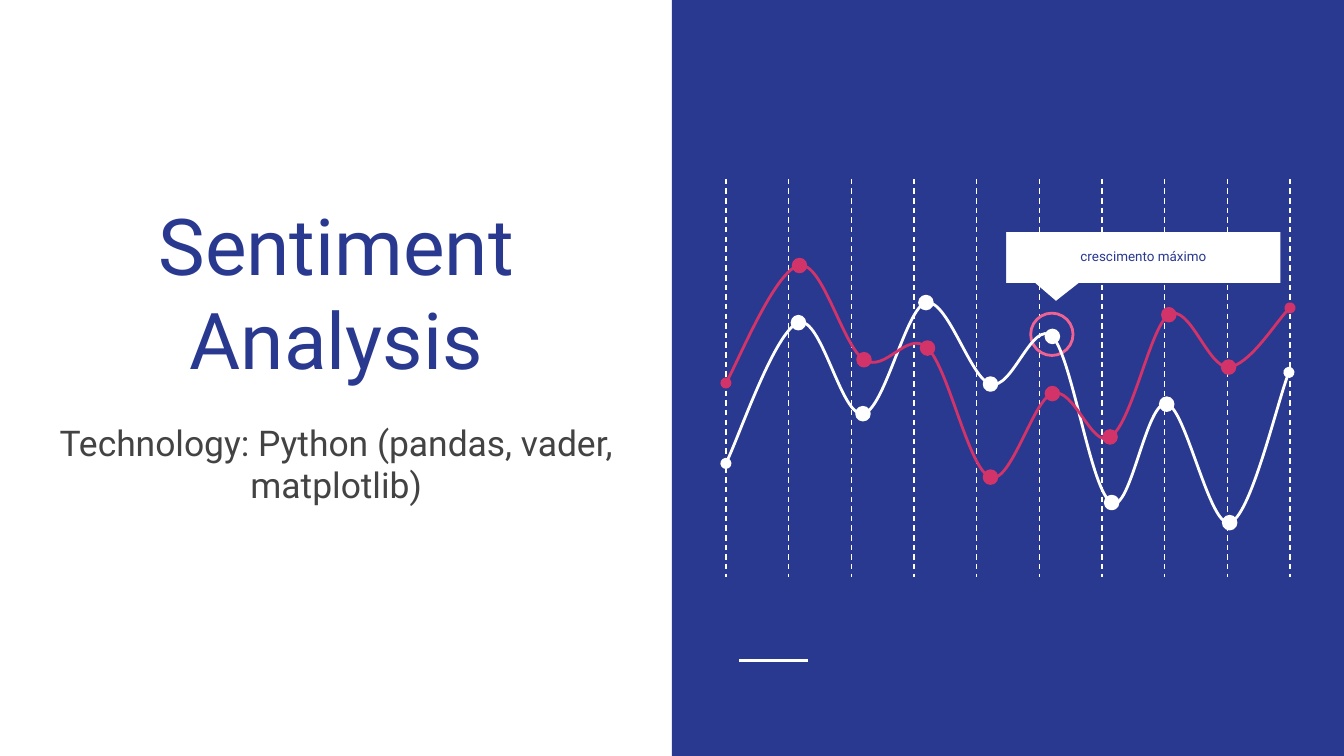
from lxml.etree import SubElement
from pptx import Presentation
from pptx.dml.color import RGBColor
from pptx.enum.dml import MSO_LINE as Dash
from pptx.enum.shapes import MSO_CONNECTOR as Link, MSO_SHAPE as Kind
from pptx.enum.text import MSO_ANCHOR as Anchor, MSO_AUTO_SIZE as Fit, PP_ALIGN as Align
from pptx.oxml.ns import qn
from pptx.util import Cm, Pt

BLUE, WHITE, RED, PINK, GREY = "2A3990", "FFFFFF", "D23369", "F06292", "434343"

WHITE_CURVE = [
    (13.72, 8.76),
    (13.94, 8.33), (14.66, 6.25), (15.09, 6.1),
    (15.52, 5.94), (15.9, 7.9), (16.31, 7.82),
    (16.71, 7.77), (17.12, 5.82), (17.5, 5.72),
    (17.91, 5.64), (18.34, 7.16), (18.72, 7.26),
    (19.13, 7.39), (19.51, 6.02), (19.89, 6.36),
    (20.27, 6.76), (20.62, 9.32), (21.01, 9.5),
    (21.36, 9.73), (21.67, 7.54), (22.05, 7.64),
    (22.4, 7.67), (22.86, 9.98), (23.24, 9.88),
    (23.62, 9.8), (24.16, 7.52), (24.36, 7.04),
]
RED_CURVE = [
    (13.72, 7.24),
    (13.94, 6.86), (14.68, 5.08), (15.11, 5.02),
    (15.54, 4.93), (15.93, 6.55), (16.33, 6.8),
    (16.74, 7.06), (17.15, 6.22), (17.53, 6.58),
    (17.93, 6.96), (18.31, 8.89), (18.72, 9.02),
    (19.1, 9.17), (19.53, 7.54), (19.89, 7.44),
    (20.29, 7.29), (20.65, 8.51), (20.98, 8.26),
    (21.39, 8.03), (21.74, 6.17), (22.09, 5.95),
    (22.48, 5.72), (22.83, 6.96), (23.22, 6.94),
    (23.6, 6.91), (24.18, 5.99), (24.38, 5.82),
]


def tint(code):
    return RGBColor.from_string(code)


class Deck:
    font = "Roboto"
    width = Pt(1.5)
    inset = Cm(0.25)
    dot = 0.24

    def __init__(self, slide):
        self.slide = slide
        self.shapes = slide.shapes

    def stroke(self, item, color):
        item.line.color.rgb = tint(color)
        item.line.width = self.width

    def shape(self, kind, x, y, w, h, fill=None, line=None):
        item = self.shapes.add_shape(kind, Cm(x), Cm(y), Cm(w), Cm(h))
        item.shadow.inherit = False
        if fill:
            item.fill.solid()
            item.fill.fore_color.rgb = tint(fill)
        else:
            item.fill.background()
        if line:
            self.stroke(item, line)
        else:
            item.line.fill.background()
        return item

    def bubble(self, w, tip):
        item = self.shape(Kind.ROUNDED_RECTANGULAR_CALLOUT, 19.02, 4.39, w, 0.96, WHITE)
        for i, value in enumerate((-0.214, tip, 0)):
            item.adjustments[i] = value

    def line(self, x1, y1, x2, y2, color):
        item = self.shapes.add_connector(Link.STRAIGHT, Cm(x1), Cm(y1), Cm(x2), Cm(y2))
        self.stroke(item, color)
        SubElement(item.element.spPr, qn("a:effectLst"))
        return item

    def curve(self, points, color):
        start, *rest = [(Cm(x), Cm(y)) for x, y in points]
        pen = self.shapes.build_freeform(*start)
        pen.add_line_segments(rest, close=False)
        item = pen.convert_to_shape()
        item.shadow.inherit = False
        item.fill.background()
        self.stroke(item, color)
        route = item.element.find(".//" + qn("a:path"))
        steps = route.findall(qn("a:lnTo"))
        for i in range(0, len(steps), 3):
            bend = SubElement(route, qn("a:cubicBezTo"))
            for step in steps[i:i + 3]:
                bend.append(step[0])
                route.remove(step)
        edge = item.element.spPr.find(qn("a:ln"))
        for end in ("a:headEnd", "a:tailEnd"):
            SubElement(edge, qn(end), type="oval")
        for x, y in points[3:-1:3]:
            self.shape(Kind.OVAL, x - self.dot / 2, y - self.dot / 2,
                       self.dot, self.dot, color, color)

    def text(self, index, lines, x, y, w, h, size, color, anchor, space=1):
        box = self.slide.placeholders[index]
        box.left, box.top, box.width, box.height = Cm(x), Cm(y), Cm(w), Cm(h)
        box.element.getparent().append(box.element)
        frame = box.text_frame
        frame.text = "\n".join(lines)
        frame.word_wrap = True
        frame.auto_size = Fit.NONE
        frame.vertical_anchor = anchor
        frame.margin_left = frame.margin_right = self.inset
        frame.margin_top = frame.margin_bottom = self.inset
        for para in frame.paragraphs:
            para.alignment = Align.CENTER
            para.line_spacing = space
            para.space_before = Pt(0)
            para.font.name = self.font
            para.font.size = Pt(size)
            para.font.bold = False
            para.font.color.rgb = tint(color)

    def prune(self):
        for box in list(self.slide.placeholders):
            if not box.text_frame.text:
                box.element.getparent().remove(box.element)


def main():
    show = Presentation()
    show.slide_width, show.slide_height = Cm(25.4), Cm(14.29)
    deck = Deck(show.slides.add_slide(show.slide_layouts[4]))

    deck.shape(Kind.RECTANGLE, 12.7, 0, 12.7, 14.29, BLUE)
    deck.line(13.97, 12.48, 15.27, 12.48, WHITE)
    deck.bubble(5.18, 0.485)
    for i in range(10):
        x = 13.72 + i * 10.66 / 9
        grid = deck.line(x, 3.38, x, 10.9, WHITE)
        grid.line.width = Pt(0.75)
        grid.line.dash_style = Dash.DASH
    deck.shape(Kind.OVAL, 19.48, 5.92, 0.8, 0.8, line=PINK)

    deck.text(0, ["Sentiment", "Analysis"], 0.74, 3.2, 11.23, 4.34, 42, BLUE, Anchor.BOTTOM)
    deck.text(1, ["Technology: Python (pandas, vader, matplotlib)"],
              0.74, 7.7, 11.23, 3.53, 19, GREY, Anchor.TOP)
    deck.curve(WHITE_CURVE, WHITE)
    deck.bubble(3.28, 0.85)
    deck.curve(RED_CURVE, RED)
    deck.text(3, ["crescimento máximo"], 19.02, 4.47, 5.18, 0.79, 7.2, BLUE, Anchor.MIDDLE, 0.95)
    deck.prune()
    show.save("out.pptx")


if __name__ == "__main__":
    main()
